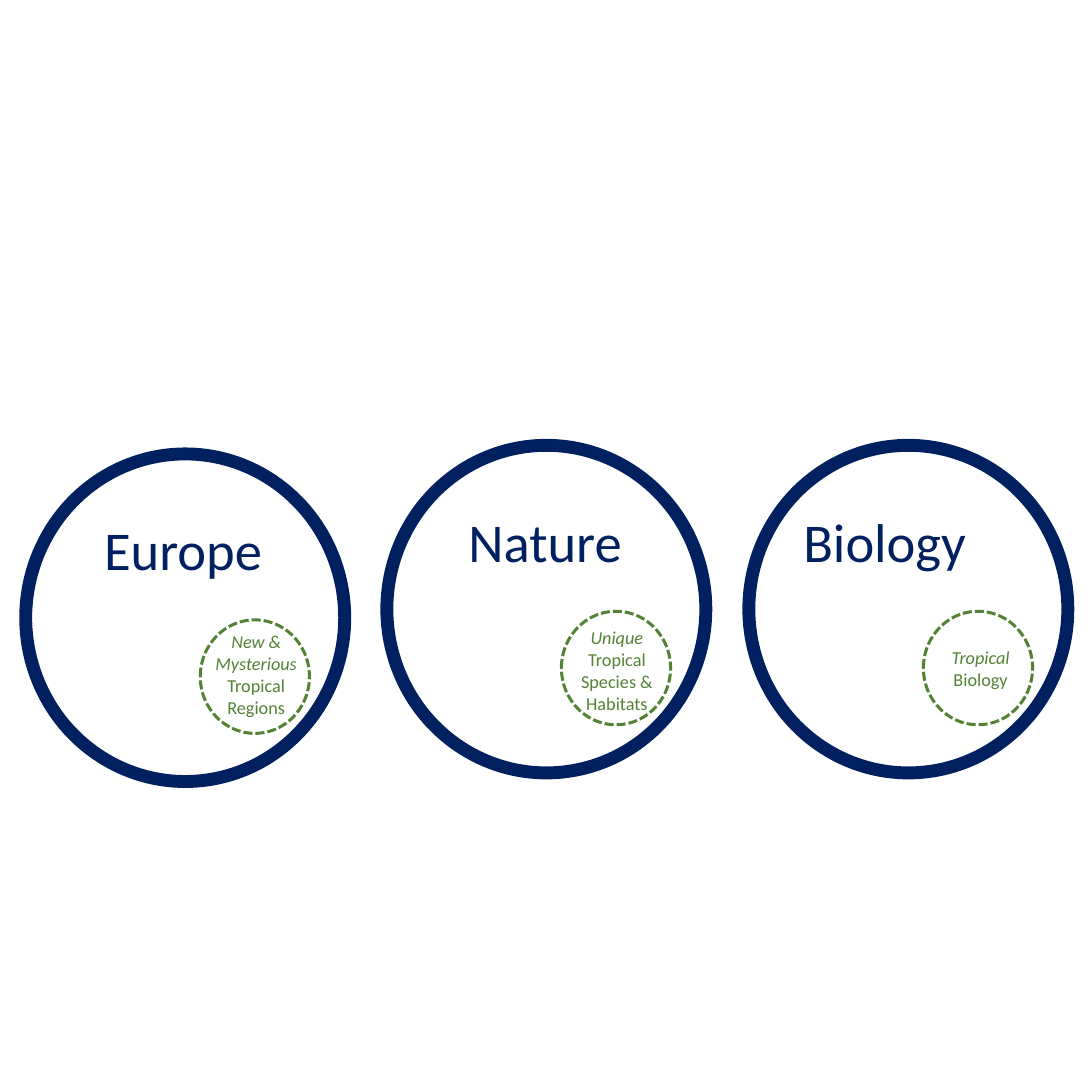
from dataclasses import dataclass

import pptx
import pptx.dml.color
import pptx.enum.dml
import pptx.enum.shapes
import pptx.enum.text
import pptx.shapes.shapetree
import pptx.util
from pptx.util import Cm

NAVY = "002060"
GREEN = "548235"
RING_W, RING_H = 3.71, 3.81
DOT_W, DOT_H = 1.27, 1.32
DOT_DX, DOT_DY = 2.03, 1.93
LABEL_DY, LABEL_H = 0.6, 1.02


@dataclass
class Box:
    """A rectangle in centimetres."""
    left: float
    top: float
    width: float
    height: float

    def emu(self) -> list[int]:
        return [Cm(v) for v in (self.left, self.top, self.width, self.height)]


@dataclass
class Field:
    """A large ring with its label and a small tropical circle."""
    label: str
    left: float
    top: float
    label_left: float
    label_width: float
    emphasis: str
    detail: str
    note: Box


FIELDS = [
    Field("Nature", 4.5, 5.18, 4.5, 3.68, "Unique",
          "Tropical Species & Habitats", Box(6.25, 7.16, 1.85, 1.27)),
    Field("Biology", 8.71, 5.18, 8.46, 3.66, "Tropical",
          "Biology", Box(10.54, 7.39, 1.73, 0.76)),
    Field("Europe", 0.3, 5.28, -0.36, 4.98, "New & Mysterious",
          "Tropical Regions", Box(2.13, 7.21, 1.7, 1.27)),
]


def rgb(value: str) -> pptx.dml.color.RGBColor:
    return pptx.dml.color.RGBColor.from_string(value)


def add_circle(shapes: pptx.shapes.shapetree.GroupShapes, box: Box,
               color: str, width: float, dashed: bool = False) -> None:
    sp = shapes.add_shape(pptx.enum.shapes.MSO_SHAPE.OVAL, *box.emu())
    sp.shadow.inherit = False
    sp.fill.background()
    sp.line.color.rgb = rgb(color)
    sp.line.width = pptx.util.Pt(width)
    if dashed:
        # SQUARE_DOT is written to the file as sysDash
        sp.line.dash_style = pptx.enum.dml.MSO_LINE.SQUARE_DOT


def add_text(shapes: pptx.shapes.shapetree.GroupShapes, box: Box,
             lines: list[tuple[str, bool]], size: float, color: str) -> None:
    """Add centred lines, each given as its text and whether it is italic."""
    tf = shapes.add_textbox(*box.emu()).text_frame
    tf.word_wrap = True
    for i, (text, italic) in enumerate(lines):
        p = tf.add_paragraph() if i else tf.paragraphs[0]
        p.text = text
        p.alignment = pptx.enum.text.PP_ALIGN.CENTER
        p.font.name = "Calibri"
        p.font.size = pptx.util.Pt(size)
        p.font.italic = italic
        p.font.color.rgb = rgb(color)


def add_field(s: pptx.slide.Slide, field: Field) -> None:
    shapes = s.shapes.add_group_shape().shapes
    add_circle(shapes, Box(field.left, field.top, RING_W, RING_H), NAVY, 4.25)
    add_circle(shapes, Box(field.left + DOT_DX, field.top + DOT_DY, DOT_W, DOT_H),
               GREEN, 1, dashed=True)
    add_text(shapes, Box(field.label_left, field.top + LABEL_DY, field.label_width, LABEL_H),
             [(field.label, False)], 18, NAVY)
    add_text(shapes, field.note, [(field.emphasis, True), (field.detail, False)], 6, GREEN)


def main() -> None:
    prs = pptx.Presentation()
    prs.slide_width = prs.slide_height = Cm(12.7)
    s = prs.slides.add_slide(prs.slide_layouts[6])
    for field in FIELDS:
        add_field(s, field)
    prs.save("out.pptx")


if __name__ == "__main__":
    main()
